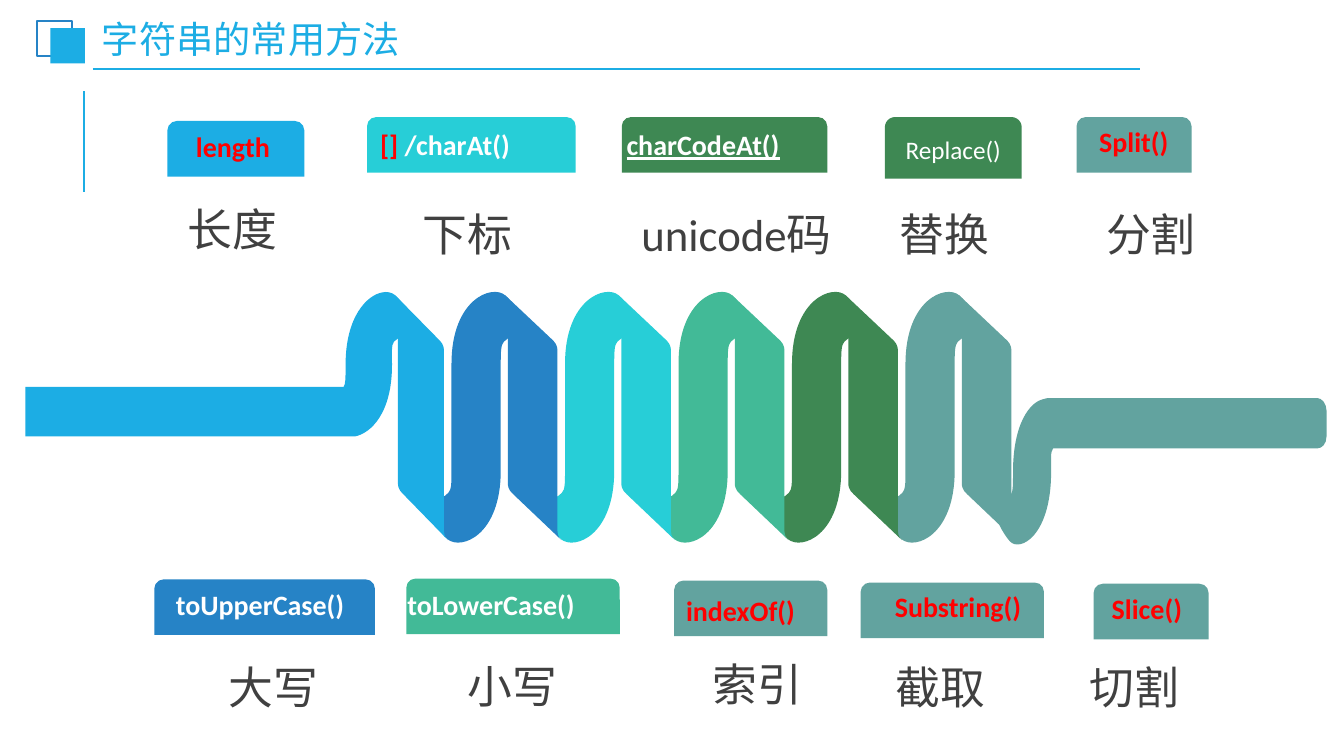
"""Build a slide that lists common string methods around a coiled ribbon."""
import dataclasses
import typing

import pptx
import pptx.dml.color
import pptx.enum.shapes
import pptx.enum.text
import pptx.oxml
import pptx.oxml.ns
import pptx.util

Cm = pptx.util.Cm
Color = pptx.dml.color.RGBColor
Shapes = pptx.enum.shapes.MSO_SHAPE
Align = pptx.enum.text.PP_ALIGN
Anchor = pptx.enum.text.MSO_ANCHOR
AutoSize = pptx.enum.text.MSO_AUTO_SIZE


@dataclasses.dataclass(frozen=True)
class Theme:
    font: str = "Calibri"
    sky: Color = Color.from_string("1CADE4")
    blue: Color = Color.from_string("2683C6")
    cyan: Color = Color.from_string("27CED7")
    mint: Color = Color.from_string("42BA97")
    green: Color = Color.from_string("3E8853")
    teal: Color = Color.from_string("62A39F")
    red: Color = Color.from_string("FF0000")
    white: Color = Color.from_string("FFFFFF")
    gray: Color = Color.from_string("404040")
    title_size: float = 26.6
    caption_size: float = 32
    label_size: float = 20
    small_size: float = 18


THEME = Theme()


class Box(typing.NamedTuple):
    left: float
    top: float
    width: float
    height: float


class Word(typing.NamedTuple):
    text: str
    color: Color = THEME.red
    size: float = THEME.label_size
    bold: bool = True
    underline: bool = False


@dataclasses.dataclass(frozen=True)
class Tab:
    box: Box
    fill: Color
    words: tuple[Word, ...]
    label: typing.Optional[Box] = None
    align: Align = Align.CENTER


class Caption(typing.NamedTuple):
    text: str
    left: float
    top: float
    width: float = 6.65


TAB_HEIGHT, LABEL_HEIGHT, CAPTION_HEIGHT = 1.4, 1.12, 1.9
TABS = (
    Tab(Box(4.22, 3.05, 3.45, TAB_HEIGHT), THEME.sky, (Word("length"),),
        Box(4.37, 3.15, 3, LABEL_HEIGHT)),
    Tab(Box(3.89, 14.6, 5.56, TAB_HEIGHT), THEME.blue, (Word("toUpperCase()", THEME.white),),
        Box(3.89, 14.68, 5.33, LABEL_HEIGHT)),
    Tab(Box(9.25, 2.95, 5.26, TAB_HEIGHT), THEME.cyan,
        (Word("[]"), Word(" /charAt()", THEME.white)),
        Box(9.33, 3.1, 5.46, LABEL_HEIGHT), Align.LEFT),
    Tab(Box(10.24, 14.58, 5.38, TAB_HEIGHT), THEME.mint, (Word("toLowerCase()", THEME.white),),
        Box(10.02, 14.68, 6.1, LABEL_HEIGHT), Align.LEFT),
    Tab(Box(15.67, 2.95, 5.18, TAB_HEIGHT), THEME.green,
        (Word("charCodeAt()", THEME.white, underline=True),),
        Box(15.54, 3.1, 5.49, LABEL_HEIGHT), Align.LEFT),
    Tab(Box(16.99, 14.63, 3.86, TAB_HEIGHT), THEME.teal, (Word("indexOf()"),),
        Box(17.04, 14.83, 3.86, LABEL_HEIGHT), Align.LEFT),
    Tab(Box(22.3, 2.95, 3.45, 1.55), THEME.green,
        (Word("Replace()", THEME.white, THEME.small_size, bold=False),)),
    Tab(Box(21.69, 14.68, 4.62, TAB_HEIGHT), THEME.teal, (Word("Substring()"),),
        Box(22, 14.73, 4.29, LABEL_HEIGHT)),
    Tab(Box(27.56, 14.71, 2.9, TAB_HEIGHT), THEME.teal, (Word("Slice()"),),
        Box(27.56, 14.78, 2.69, LABEL_HEIGHT)),
    Tab(Box(27.13, 2.95, 2.9, TAB_HEIGHT), THEME.teal, (Word("Split()"),),
        Box(27.23, 3.02, 2.69, LABEL_HEIGHT)),
)
CAPTIONS = (
    Caption("长度", 2.54, 4.55), Caption("下标", 8.46, 4.67), Caption("unicode码", 15.24, 4.67),
    Caption("替换", 20.47, 4.67), Caption("分割", 25.68, 4.67), Caption("大写", 3.56, 16.1),
    Caption("小写", 9.58, 16.08), Caption("索引", 15.77, 16.03),
    Caption("截取", 21.69, 16.1, 4.04), Caption("切割", 25.27, 16.1),
)

Outline = tuple[tuple[float, ...], ...]
COIL_COLORS = (THEME.sky, THEME.blue, THEME.cyan, THEME.mint, THEME.green, THEME.teal)
FIRST_COIL, COIL_PITCH = 8.52, 2.86
HOOK: Outline = (
    (1.24, 11.86), (1.24, 9.19), (1.24, 8.89, 1.24, 8.69, 1.32, 8.61),
    (1.55, 8.38, 1.78, 8.51, 1.83, 8.33), (1.9, 8.1, 1.55, 7.62, 1.35, 7.44),
    (1.02, 7.16, 0, 7.54, 0, 9.17), (0, 11.86), (0, 12.17, 0, 12.34, -0.08, 12.42),
    (-0.3, 12.65, -0.53, 12.55, -0.58, 12.7), (-0.66, 12.93, -0.3, 13.41, -0.1, 13.59),
    (0.25, 13.87, 1.24, 13.49, 1.24, 11.86),
)
ENTRY: Outline = (
    (9.63, 7.37), (9.75, 7.34, 9.88, 7.37, 9.96, 7.44), (10.16, 7.62, 10.49, 8.1, 10.41, 8.33),
    (10.39, 8.51, 10.16, 8.38, 9.93, 8.61), (9.86, 8.69, 9.88, 8.89, 9.88, 9.19),
    (9.88, 10.41, 9.35, 10.92, 8.94, 11), (0.64, 11), (0.64, 9.75), (8.66, 9.75), (8.69, 9.68),
    (8.71, 9.58, 8.71, 9.4, 8.71, 9.19), (8.71, 7.98, 9.25, 7.44, 9.63, 7.37),
)
EXIT: Outline = (
    (26.42, 10.03), (33.2, 10.03), (33.32, 10.03, 33.43, 10.19, 33.43, 10.34), (33.43, 11),
    (33.43, 11.18, 33.32, 11.3, 33.2, 11.3), (26.54, 11.3),
    (26.47, 11.38, 26.49, 11.58, 26.49, 11.89), (26.49, 13.51, 25.7, 13.92, 25.45, 13.64),
    (25.27, 13.44, 25.02, 12.98, 25.07, 12.73), (25.1, 12.57, 25.3, 12.67, 25.48, 12.45),
    (25.53, 12.4, 25.53, 12.19, 25.53, 11.89), (25.53, 10.67, 25.96, 10.13, 26.29, 10.06),
    (26.34, 10.05, 26.38, 10.03, 26.42, 10.03),
)


def slant(inset: float) -> Outline:
    left = 1.35 + inset
    return (
        (2.67, 13.39), (2.67, 8.86), (2.67, 8.81, 2.67, 8.69, 2.57, 8.59), (left, 7.44),
        (left, 7.44, left + 0.07, 7.54, left + 0.07, 7.67), (left + 0.07, 12.19),
        (left + 0.07, 12.22, left + 0.07, 12.34, left + 0.2, 12.45), (2.77, 13.61),
        (2.74, 13.59, 2.67, 13.51, 2.67, 13.39),
    )


def place(box: Box) -> tuple[int, ...]:
    return tuple(Cm(length) for length in box)


def write(frame, *words: Word, align: Align = Align.LEFT, spacing: float = 1.0,
          anchor: Anchor = Anchor.TOP, auto_size: AutoSize = AutoSize.NONE) -> None:
    frame.word_wrap = True
    frame.auto_size = auto_size
    frame.vertical_anchor = anchor
    para = frame.paragraphs[0]
    para.alignment, para.line_spacing = align, spacing
    for word in words:
        span = para.add_run()
        span.text = word.text
        span.font.name, span.font.size = THEME.font, pptx.util.Pt(word.size)
        span.font.bold, span.font.underline = word.bold, word.underline
        span.font.color.rgb = word.color


def paint(shape, fill: Color) -> None:
    shape.shadow.inherit = False
    shape.fill.solid()
    shape.fill.fore_color.rgb = fill
    shape.line.fill.background()


def add_filled(slide, kind: Shapes, box: Box, fill: Color):
    shape = slide.shapes.add_shape(kind, *place(box))
    paint(shape, fill)
    return shape


def add_line(slide, start: tuple[float, float], end: tuple[float, float], width: float) -> None:
    line = slide.shapes.add_connector(pptx.enum.shapes.MSO_CONNECTOR.STRAIGHT,
                                      *(Cm(length) for length in start + end))
    line.line.color.rgb, line.line.width = THEME.sky, pptx.util.Pt(width)
    properties = line._element.find(pptx.oxml.ns.qn("p:spPr"))
    properties.append(pptx.oxml.parse_xml(f'<a:effectLst {pptx.oxml.ns.nsdecls("a")}/>'))


def add_ribbon(slide, outline: Outline, fill: Color, shift: float = 0) -> None:
    points = [(Cm(x + shift), Cm(y)) for part in outline for x, y in zip(part[::2], part[1::2])]
    builder = slide.shapes.build_freeform(*points[0])
    builder.add_line_segments(points[1:], close=True)
    ribbon = builder.convert_to_shape()
    paint(ribbon, fill)
    segments = iter(ribbon._element.findall(".//" + pptx.oxml.ns.qn("a:lnTo")))
    for part in outline[1:]:
        segment = next(segments)
        if len(part) == 6:
            curve = pptx.oxml.parse_xml(f'<a:cubicBezTo {pptx.oxml.ns.nsdecls("a")}/>')
            segment.addprevious(curve)
            for corner in (segment, next(segments), next(segments)):
                curve.append(corner[0])
                corner.getparent().remove(corner)


def add_header(slide) -> None:
    add_line(slide, (2.11, 4.83), (2.11, 2.29), 1.5)
    add_line(slide, (2.34, 1.73), (28.73, 1.73), 1.25)
    frame = add_filled(slide, Shapes.RECTANGLE, Box(0.94, 0.53, 0.87, 0.89), THEME.white)
    frame.fill.background()
    frame.line.color.rgb, frame.line.width = THEME.blue, pptx.util.Pt(1.5)
    add_filled(slide, Shapes.RECTANGLE, Box(1.27, 0.71, 0.87, 0.89), THEME.sky)
    title = slide.shapes.title
    title.left, title.top, title.width, title.height = place(Box(2.39, 0.58, 9.98, 0.94))
    text = title.text_frame
    text.margin_left = text.margin_right = Cm(0.18)
    text.margin_top = text.margin_bottom = Cm(0.1)
    write(text, Word("字符串的常用方法", THEME.sky, THEME.title_size, False),
          spacing=0.9, anchor=Anchor.MIDDLE)


def add_coils(slide) -> None:
    add_ribbon(slide, EXIT, THEME.teal)
    for index, color in reversed(list(enumerate(COIL_COLORS))):
        shift = FIRST_COIL + index * COIL_PITCH
        if index:
            add_ribbon(slide, HOOK, color, shift)
        else:
            add_ribbon(slide, ENTRY, color)
        add_ribbon(slide, slant(0 if index else 0.09), color, shift)


def add_tab(slide, tab: Tab) -> None:
    shape = add_filled(slide, Shapes.ROUND_2_SAME_RECTANGLE, tab.box, tab.fill)
    if tab.label is None:
        write(shape.text_frame, *tab.words, align=tab.align, anchor=Anchor.MIDDLE)
    else:
        label = slide.shapes.add_textbox(*place(tab.label))
        write(label.text_frame, *tab.words, align=tab.align,
              auto_size=AutoSize.SHAPE_TO_FIT_TEXT)


def main() -> None:
    deck = pptx.Presentation()
    deck.slide_width, deck.slide_height = Cm(33.87), Cm(19.05)
    page = deck.slides.add_slide(deck.slide_layouts.get_by_name("Title Only"))
    add_header(page)
    add_coils(page)
    for tab in TABS:
        add_tab(page, tab)
    for caption in CAPTIONS:
        box = page.shapes.add_textbox(
            *place(Box(caption.left, caption.top, caption.width, CAPTION_HEIGHT)))
        write(box.text_frame, Word(caption.text, THEME.gray, THEME.caption_size, False),
              align=Align.CENTER, spacing=1.3, auto_size=AutoSize.SHAPE_TO_FIT_TEXT)
    deck.save("out.pptx")


if __name__ == "__main__":
    main()
